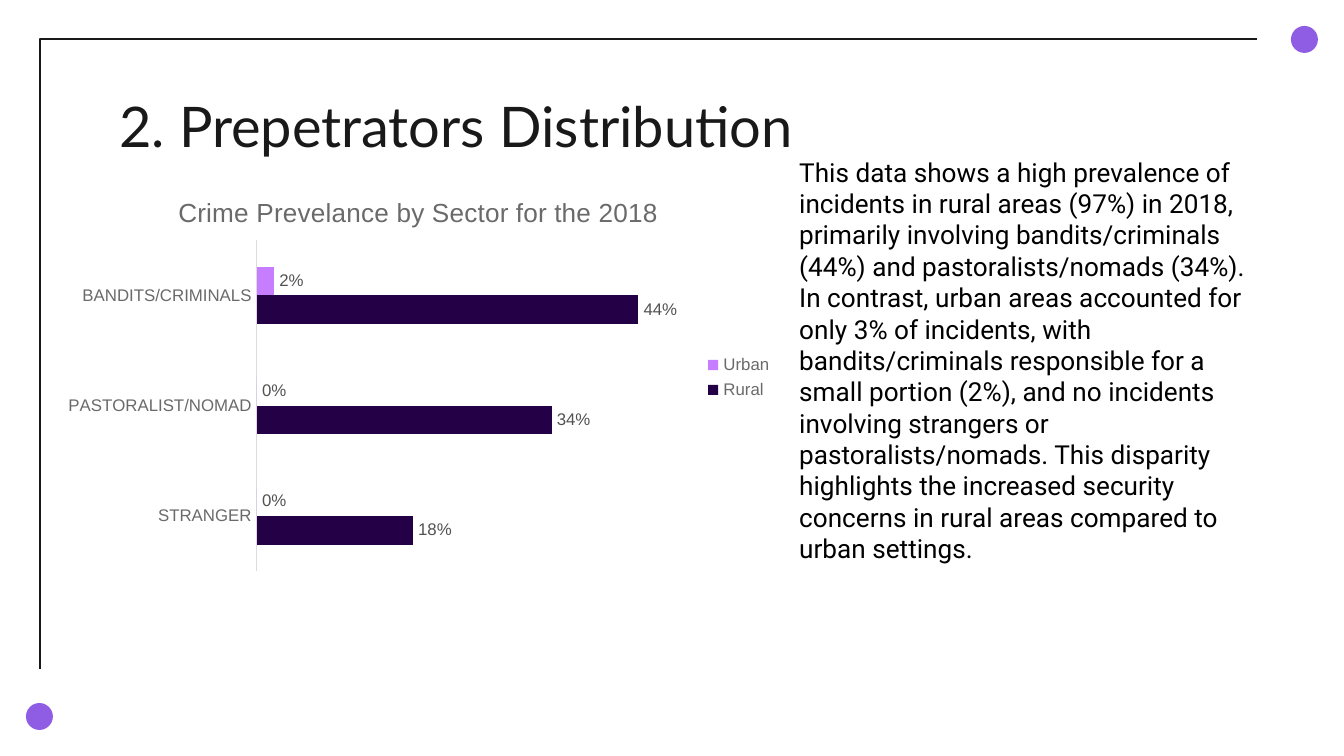
import pptx
import pptx.chart.data
import pptx.dml.color
import pptx.enum.chart
import pptx.enum.shapes
import pptx.enum.text
import pptx.oxml
import pptx.oxml.ns
import pptx.util

SCALE = 6804
INK, GREY, LABEL_GREY, AXIS = "191919", "6A6A6A", "525252", "DCDCDC"
PURPLE, DARK, LIGHT = "8F5DE4", "240046", "C77DFF"

COMMENTARY = (
    "This data shows a high prevalence of incidents in rural areas (97%) in 2018, "
    "primarily involving bandits/criminals (44%) and pastoralists/nomads (34%). "
    "In contrast, urban areas accounted for only 3% of incidents, with "
    "bandits/criminals responsible for a small portion (2%), and no incidents "
    "involving strangers or pastoralists/nomads. This disparity highlights the "
    "increased security concerns in rural areas compared to urban settings."
)
CATEGORIES = ["STRANGER", "PASTORALIST/NOMAD", "BANDITS/CRIMINALS"]
SERIES = [("Rural", [0.18, 0.34, 0.44], DARK), ("Urban", [0, 0, 0.02], LIGHT)]


def px(length):
    return pptx.util.Emu(length * SCALE)


def color(value):
    return pptx.dml.color.RGBColor.from_string(value)


def apply(target, **values):
    for name, value in values.items():
        setattr(target, name, value)


class SlideBuilder:
    def __init__(self, presentation):
        self.slide = presentation.slides.add_slide(presentation.slide_layouts[6])
        self.shapes = self.slide.shapes

    def style_font(self, font, name, size, fill):
        apply(font, name=name, size=pptx.util.Pt(size), bold=False)
        font.color.rgb = color(fill)

    def frame(self, points):
        builder = self.shapes.build_freeform(*points[0], scale=SCALE)
        builder.add_line_segments(points[1:], close=False)
        shape = builder.convert_to_shape()
        shape.shadow.inherit = False
        shape.fill.background()
        shape.line.color.rgb = color(INK)
        shape.line.width = pptx.util.Pt(1.5)

    def dot(self, left, top, size):
        shape = self.shapes.add_shape(
            pptx.enum.shapes.MSO_SHAPE.OVAL, px(left), px(top), px(size), px(size))
        shape.shadow.inherit = False
        shape.fill.solid()
        shape.fill.fore_color.rgb = color(PURPLE)
        shape.line.fill.background()

    def text(self, box, content, name, size, fill, inset):
        frame = self.shapes.add_textbox(*map(px, box)).text_frame
        apply(frame, word_wrap=True, margin_top=px(inset), margin_bottom=px(inset),
              vertical_anchor=pptx.enum.text.MSO_ANCHOR.TOP)
        run = frame.paragraphs[0].add_run()
        run.text = content
        self.style_font(run.font, name, size, fill)

    def bar_chart(self, box, title, categories, series):
        enums = pptx.enum.chart
        data = pptx.chart.data.CategoryChartData(number_format="0%")
        data.categories = categories
        for name, values, _ in series:
            data.add_series(name, values)
        chart = self.shapes.add_chart(
            enums.XL_CHART_TYPE.BAR_CLUSTERED, *map(px, box), data).chart
        self.style_font(chart.font, "Arial", 10, INK)

        chart.has_title = True
        chart.chart_title.include_in_layout = False
        run = chart.chart_title.text_frame.paragraphs[0].add_run()
        run.text = title
        self.style_font(run.font, "Arial", 14, GREY)

        chart.has_legend = True
        apply(chart.legend, position=enums.XL_LEGEND_POSITION.RIGHT,
              include_in_layout=False)
        self.style_font(chart.legend.font, "Arial", 9, GREY)

        axis = chart.category_axis
        apply(axis, major_tick_mark=enums.XL_TICK_MARK.NONE,
              minor_tick_mark=enums.XL_TICK_MARK.NONE)
        self.style_font(axis.tick_labels.font, "Arial", 9, GREY)
        axis.format.line.color.rgb = color(AXIS)
        axis.format.line.width = pptx.util.Pt(0.75)
        apply(chart.value_axis, visible=False, has_major_gridlines=False,
              minimum_scale=0, maximum_scale=0.5)

        plot = chart.plots[0]
        apply(plot, gap_width=182, overlap=0, vary_by_categories=False)
        for bars, (_, _, fill) in zip(plot.series, series):
            bars.format.fill.solid()
            bars.format.fill.fore_color.rgb = color(fill)
            labels = bars.data_labels
            apply(labels, show_value=True, number_format="0%",
                  number_format_is_linked=False,
                  position=enums.XL_LABEL_POSITION.OUTSIDE_END)
            self.style_font(labels.font, "Arial", 9, LABEL_GREY)
        self.place_plot(chart, x=0.28, y=0.16, w=0.59, h=0.82)

    def place_plot(self, chart, **position):
        settings = {"layoutTarget": "inner", "xMode": "edge", "yMode": "edge", **position}
        children = "".join(f'<c:{tag} val="{value}"/>' for tag, value in settings.items())
        layout = pptx.oxml.parse_xml(
            f'<c:layout {pptx.oxml.ns.nsdecls("c")}>'
            f"<c:manualLayout>{children}</c:manualLayout></c:layout>")
        plot_area = chart.element.chart.plotArea
        for existing in plot_area.findall(pptx.oxml.ns.qn("c:layout")):
            plot_area.remove(existing)
        plot_area.insert(0, layout)


def main():
    presentation = pptx.Presentation()
    apply(presentation, slide_width=px(1344), slide_height=px(756))
    builder = SlideBuilder(presentation)
    builder.frame([(1257, 39), (40, 39), (40, 669)])
    for left, top in [(1291, 26), (26, 703)]:
        builder.dot(left, top, 27)
    builder.text((106, 79, 1133, 85), "2. Prepetrators Distribution", "Lato", 30, INK, 13)
    builder.bar_chart((51, 176, 735, 403), "Crime Prevelance by Sector for the 2018",
                      CATEGORIES, SERIES)
    builder.text((786, 149, 485, 425), COMMENTARY, "Roboto", 14, "000000", 7)
    presentation.save("out.pptx")


if __name__ == "__main__":
    main()
